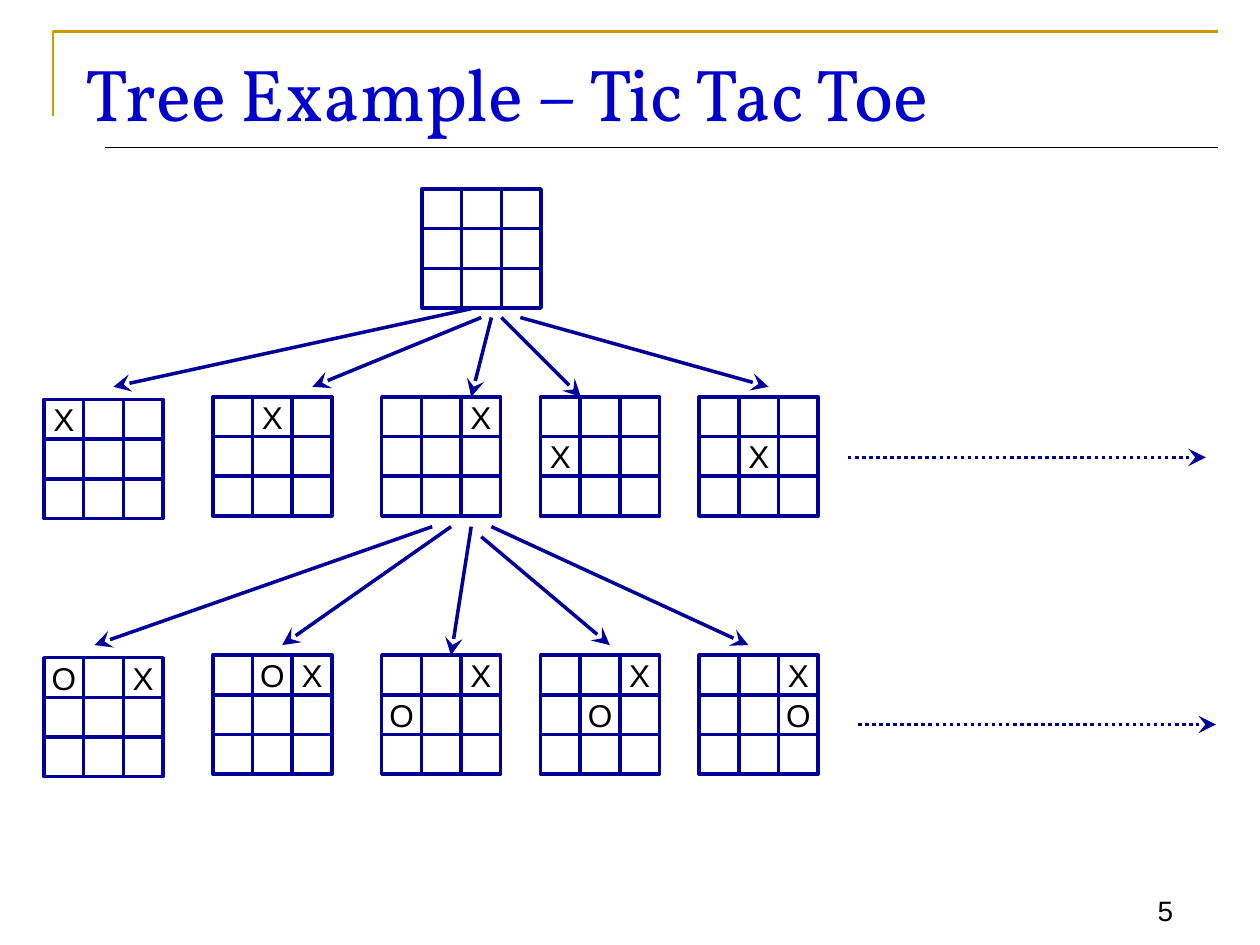
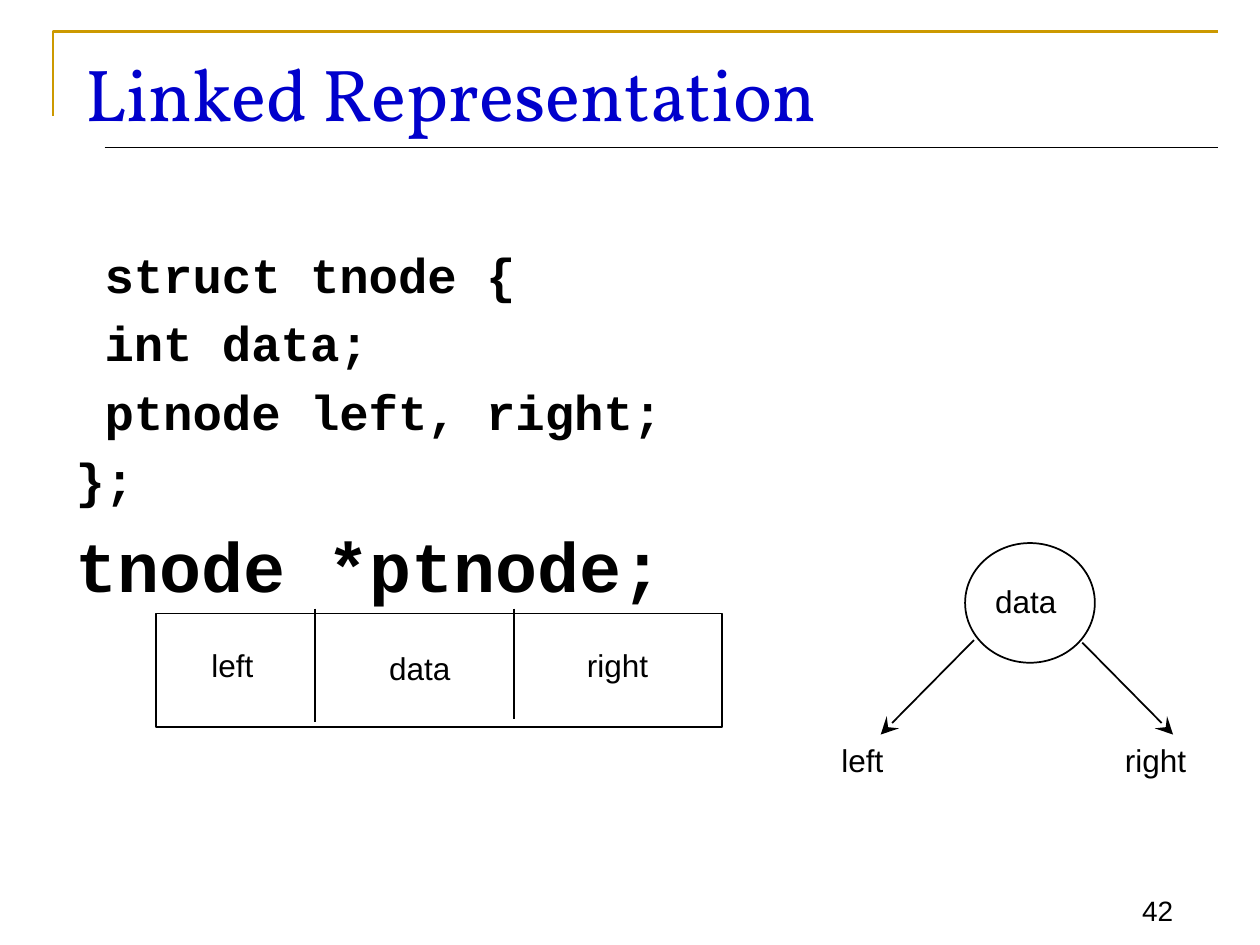
"""Build two lecture slides on trees: a game tree and a linked node."""
from dataclasses import dataclass
from typing import NamedTuple, Optional

from lxml import etree
from pptx import Presentation
from pptx.dml.color import RGBColor
from pptx.enum.dml import MSO_LINE
from pptx.enum.shapes import MSO_CONNECTOR, MSO_SHAPE
from pptx.enum.text import MSO_ANCHOR, MSO_AUTO_SIZE, PP_ALIGN
from pptx.oxml.ns import qn
from pptx.util import Inches, Pt

RECT, OVAL = MSO_SHAPE.RECTANGLE, MSO_SHAPE.OVAL
STRAIGHT = MSO_CONNECTOR.STRAIGHT
DOTTED = MSO_LINE.ROUND_DOT
TOP, MIDDLE, BOTTOM = MSO_ANCHOR.TOP, MSO_ANCHOR.MIDDLE, MSO_ANCHOR.BOTTOM
LEFT, CENTER, RIGHT = PP_ALIGN.LEFT, PP_ALIGN.CENTER, PP_ALIGN.RIGHT
NO_FIT = MSO_AUTO_SIZE.NONE
CONTENT_LAYOUT, TITLE_LAYOUT = 1, 5


@dataclass(frozen=True)
class Theme:
    """Colours, fonts and sizes in points shared by the slides."""
    black: RGBColor = RGBColor(0x00, 0x00, 0x00)
    title: RGBColor = RGBColor(0x00, 0x00, 0xCC)
    tree: RGBColor = RGBColor(0x00, 0x00, 0x99)
    gold: RGBColor = RGBColor(0xCC, 0x99, 0x00)
    title_font: str = "Vollkorn"
    text_font: str = "Arial"
    code_font: str = "Courier New"
    title_size: float = 42
    text_size: float = 18
    page_size: float = 16
    code_size: float = 28
    pointer_size: float = 40
    tree_line: float = 2
    node_line: float = 1
    frame_line: float = 1.5
    rule_line: float = 0.75


THEME = Theme()


class Box(NamedTuple):
    """Left, top, width and height in inches."""
    left: float
    top: float
    width: float
    height: float


class Arrow(NamedTuple):
    """Start and end of a line in inches."""
    x1: float
    y1: float
    x2: float
    y2: float


class Board(NamedTuple):
    """Top-left corner of a game board and its marks, row by row."""
    left: float
    top: float
    marks: str


class CodeLine(NamedTuple):
    """A line of code with its left indent, space before and size."""
    text: str
    indent: float
    before: float
    size: float


class Label(NamedTuple):
    """A short caption and its place in inches."""
    text: str
    left: float
    top: float
    width: float


CELL = 0.315
LABEL_HEIGHT = 0.4
EMPTY = "." * 9
COLUMNS = (0.35, 1.69, 3.03, 4.29, 5.55)
# Tops of the two levels; the first board of each sits slightly lower.
LEVEL_TOPS = (3.15, 5.2)
FIRST_DROP = 0.02
LEVEL_MARKS = (
    ("X........", ".X.......", "..X......", "...X.....", "....X...."),
    ("O.X......", ".OX......", "..XO.....", "..X.O....", "..X..O..."),
)
ROOT = Board(3.35, 1.5, EMPTY)
BRANCHES = (
    Arrow(3.74, 2.45, 0.9, 3.07), Arrow(3.82, 2.52, 2.48, 3.07),
    Arrow(3.9, 2.52, 3.74, 3.15), Arrow(3.98, 2.52, 4.61, 3.15),
    Arrow(4.13, 2.52, 6.1, 3.07),
    Arrow(3.43, 4.18, 0.75, 5.12), Arrow(3.58, 4.18, 2.24, 5.12),
    Arrow(3.74, 4.18, 3.58, 5.2), Arrow(3.82, 4.26, 4.84, 5.12),
    Arrow(3.9, 4.18, 5.94, 5.12),
)
MORE_BOARDS = (Arrow(6.73, 3.63, 9.57, 3.63), Arrow(6.81, 5.75, 9.65, 5.75))

CODE_INSET = 0.61
CODE = (
    CodeLine("struct tnode {", 0.23, 0, THEME.code_size),
    CodeLine("int data;", 0.23, 5.5, THEME.code_size),
    CodeLine("ptnode left, right;", 0.23, 5.5, THEME.code_size),
    CodeLine("};", 0, 5.5, THEME.code_size),
    CodeLine("tnode *ptnode;", 0, 8, THEME.pointer_size),
)
LABELS = (
    Label("left", 1.58, 5.08, 0.54), Label("data", 2.99, 5.1, 0.69),
    Label("right", 4.56, 5.08, 0.69), Label("data", 7.8, 4.57, 0.69),
    Label("left", 6.58, 5.83, 0.54), Label("right", 8.83, 5.83, 0.69),
)
DIVIDERS = (Arrow(2.5, 4.83, 2.5, 5.73), Arrow(4.08, 4.83, 4.08, 5.71))
POINTERS = (Arrow(7.73, 5.08, 6.99, 5.83), Arrow(8.59, 5.1, 9.31, 5.83))


def write(p, text: str, *, size: float = THEME.text_size,
          font: str = THEME.text_font, color: RGBColor = THEME.black,
          bold: bool = False, align=LEFT) -> None:
    """Put one formatted run into a paragraph."""
    p.alignment = align
    r = p.add_run()
    r.text = text
    r.font.size, r.font.name, r.font.bold = Pt(size), font, bold
    r.font.color.rgb = color


def place(sp, box: Box) -> None:
    """Move and size a shape."""
    sp.left, sp.top, sp.width, sp.height = (Inches(v) for v in box)


def outline(sp, color: RGBColor, width: float) -> None:
    """Give a shape a plain outline without fill or shadow."""
    sp.shadow.inherit = False
    sp.fill.background()
    sp.line.color.rgb = color
    sp.line.width = Pt(width)


def add_outlined(s, kind, box: Box, color: RGBColor, width: float):
    """Add a hollow preset shape."""
    sp = s.shapes.add_shape(kind, *(Inches(v) for v in box))
    outline(sp, color, width)
    return sp


def add_line(s, ends: Arrow, color: RGBColor, width: float, *,
             head: bool = False, dash: Optional[MSO_LINE] = None) -> None:
    """Add a straight line, if wanted with a large stealth head at its end."""
    cx = s.shapes.add_connector(STRAIGHT, *(Inches(v) for v in ends))
    cx.line.color.rgb = color
    cx.line.width = Pt(width)
    if dash is not None:
        cx.line.dash_style = dash
    props = cx._element.spPr
    if head:
        etree.SubElement(props.find(qn("a:ln")), qn("a:tailEnd"),
                         type="stealth", w="lg", len="lg")
    etree.SubElement(props, qn("a:effectLst"))


def add_textbox(s, box: Box, text: str, *, anchor=TOP, wrap: bool = False,
                **style) -> None:
    """Add a text box holding one paragraph."""
    tf = s.shapes.add_textbox(*(Inches(v) for v in box)).text_frame
    tf.word_wrap, tf.vertical_anchor = wrap, anchor
    write(tf.paragraphs[0], text, **style)


def add_slide(prs, layout: int, title: str, page: str):
    """Add a slide with the shared frame, rule, title and page number."""
    s = prs.slides.add_slide(prs.slide_layouts[layout])
    corner = s.shapes.build_freeform(Inches(0.42), Inches(0.92), scale=1.0)
    corner.add_line_segments(
        [(Inches(0.42), Inches(0.25)), (Inches(9.67), Inches(0.25))],
        close=False)
    outline(corner.convert_to_shape(), THEME.gold, THEME.frame_line)
    add_line(s, Arrow(0.83, 1.17, 9.67, 1.17), THEME.black, THEME.rule_line)
    add_textbox(s, Box(8.75, 6.92, 0.66, 0.49), page, anchor=BOTTOM,
                wrap=True, size=THEME.page_size, align=RIGHT)

    place(s.shapes.title, Box(0.58, 0.33, 9.08, 0.75))
    tf = s.shapes.title.text_frame
    tf.auto_size, tf.vertical_anchor = NO_FIT, TOP
    write(tf.paragraphs[0], title, size=THEME.title_size,
          font=THEME.title_font, color=THEME.title)
    return s


def add_board(s, board: Board) -> None:
    """Draw a three by three game board with its marks."""
    for i, mark in enumerate(board.marks):
        row, col = divmod(i, 3)
        box = Box(board.left + col * CELL, board.top + row * CELL, CELL, CELL)
        sp = add_outlined(s, RECT, box, THEME.tree, THEME.tree_line)
        if mark != ".":
            tf = sp.text_frame
            tf.word_wrap, tf.vertical_anchor = False, MIDDLE
            write(tf.paragraphs[0], mark, align=CENTER)


def add_code(body) -> None:
    """Fill the body placeholder with the code lines, without bullets."""
    place(body, Box(0.5, 1.33, 8.83, 3.67))
    tf = body.text_frame
    tf.auto_size, tf.vertical_anchor = NO_FIT, TOP
    tf.margin_top = Inches(CODE_INSET)
    for i, line in enumerate(CODE):
        p = tf.add_paragraph() if i else tf.paragraphs[0]
        p.space_before = Pt(line.before)
        props = p._p.get_or_add_pPr()
        props.set("marL", str(Inches(line.indent)))
        props.set("indent", "0")
        etree.SubElement(props, qn("a:buNone"))
        write(p, line.text, size=line.size, font=THEME.code_font, bold=True)


def build_game_tree(prs) -> None:
    """Build the slide with the tree of game boards."""
    s = add_slide(prs, TITLE_LAYOUT, "Tree Example – Tic Tac Toe", "5")
    add_board(s, ROOT)
    for top, level in zip(LEVEL_TOPS, LEVEL_MARKS):
        for i, (left, marks) in enumerate(zip(COLUMNS, level)):
            add_board(s, Board(left, top if i else top + FIRST_DROP, marks))
    for branch in BRANCHES:
        add_line(s, branch, THEME.tree, THEME.tree_line, head=True)
    for more in MORE_BOARDS:
        add_line(s, more, THEME.tree, THEME.tree_line, head=True, dash=DOTTED)


def build_linked_node(prs) -> None:
    """Build the slide with the node's code and its two drawings."""
    s = add_slide(prs, CONTENT_LAYOUT, "Linked Representation", "42")
    add_code(s.placeholders[1])
    for kind, box in ((RECT, Box(1.24, 4.87, 4.49, 0.9)),
                      (OVAL, Box(7.66, 4.31, 1.03, 0.95))):
        add_outlined(s, kind, box, THEME.black, THEME.node_line)
    for divider in DIVIDERS:
        add_line(s, divider, THEME.black, THEME.node_line)
    for pointer in POINTERS:
        add_line(s, pointer, THEME.black, THEME.node_line, head=True)
    for label in LABELS:
        add_textbox(s, Box(label.left, label.top, label.width, LABEL_HEIGHT),
                    label.text)


def main() -> None:
    """Create and save the presentation."""
    prs = Presentation()
    prs.slide_width, prs.slide_height = Inches(10), Inches(7.5)
    build_game_tree(prs)
    build_linked_node(prs)
    prs.save("out.pptx")


main()
